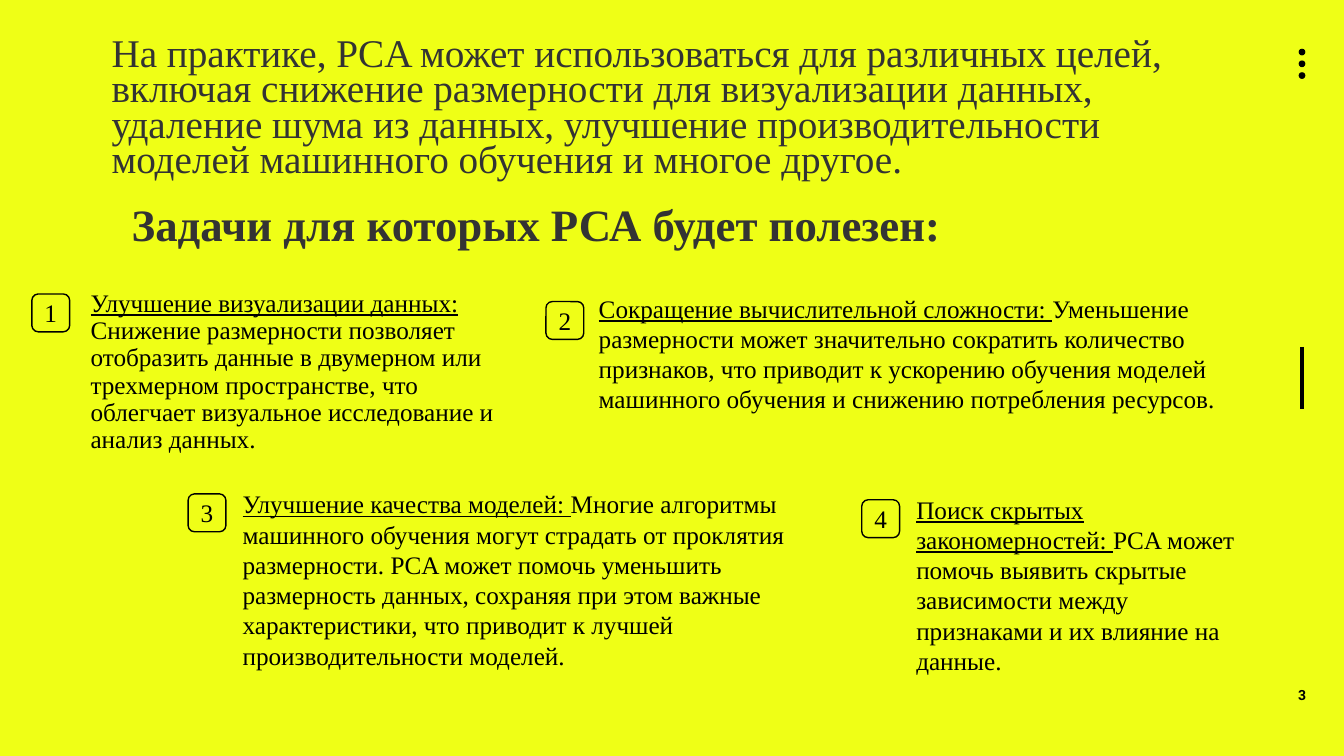
from dataclasses import dataclass

from lxml.etree import SubElement
from pptx import Presentation
from pptx.dml.color import RGBColor as RGB
from pptx.enum.shapes import MSO_CONNECTOR as Link, MSO_SHAPE as Kind
from pptx.enum.text import MSO_ANCHOR as Anchor, PP_ALIGN as Align
from pptx.oxml.ns import qn
from pptx.shapes.autoshape import Shape
from pptx.slide import Slide
from pptx.util import Emu, Inches, Pt

COLS, ROWS = 16, 9
WIDE, HIGH = Inches(13.333), Inches(7.5)
BADGE = 0.45


@dataclass(frozen=True)
class Theme:
    back: RGB = RGB(0xEF, 0xFF, 0x16)
    badge: RGB = RGB(0xEF, 0xFE, 0x17)
    ink: RGB = RGB(0, 0, 0)
    head: RGB = RGB(0x33, 0x33, 0x33)
    serif: str = "Times New Roman"
    sans: str = "Roboto"
    title: Pt = Pt(28)
    topic: Pt = Pt(32)
    body: Pt = Pt(18)
    page: Pt = Pt(10)
    edge: Pt = Pt(1)
    bar: Pt = Pt(3.25)


@dataclass(frozen=True)
class Box:
    """A place in grid columns and rows."""
    col: float
    row: float
    wide: float
    high: float

    def emu(self) -> tuple[Emu, ...]:
        return across(self.col), down(self.row), across(self.wide), down(self.high)


@dataclass(frozen=True)
class Task:
    name: str
    text: str
    box: Box
    badge: tuple[float, float]
    lead: float = 1.0


T = Theme()
TITLE = dict(name=T.serif, size=T.title)
TOPIC = dict(name=T.serif, size=T.topic, bold=True)
BODY = dict(name=T.serif, size=T.body)
NAME = dict(BODY, underline=True)
PAGE = dict(name=T.sans, size=T.page, bold=True)

TASKS = [
    Task("Улучшение визуализации данных: ",
         "Снижение размерности позволяет отобразить данные в двумерном или "
         "трехмерном пространстве, что облегчает визуальное исследование и "
         "анализ данных.",
         Box(0.96, 3.4, 5.26, 2.12), (0.38, 3.5), 0.9),
    Task("Сокращение вычислительной сложности: ",
         "Уменьшение размерности может значительно сократить количество "
         "признаков, что приводит к ускорению обучения моделей машинного "
         "обучения и снижению потребления ресурсов.",
         Box(7.01, 3.43, 8, 1.57), (6.5, 3.59)),
    Task("Улучшение качества моделей: ",
         "Многие алгоритмы машинного обучения могут страдать от проклятия "
         "размерности. PCA может помочь уменьшить размерность данных, сохраняя "
         "при этом важные характеристики, что приводит к лучшей "
         "производительности моделей.",
         Box(2.77, 5.76, 6.73, 2.3), (2.24, 5.88)),
    Task("Поиск скрытых закономерностей: ",
         "PCA может помочь выявить скрытые зависимости между признаками и их "
         "влияние на данные.",
         Box(10.79, 5.82, 4.06, 2.36), (10.26, 5.95)),
]


def across(cols: float) -> Emu:
    return Emu(round(WIDE * cols / COLS))


def down(rows: float) -> Emu:
    return Emu(round(HIGH * rows / ROWS))


def write(shape: Shape, runs: list[tuple[str, dict]], color: RGB = T.ink,
          lead: float = 1.0, mid: bool = False) -> None:
    """Fill a shape with one paragraph, centred both ways if mid."""
    frame = shape.text_frame
    frame.word_wrap = True
    frame.vertical_anchor = Anchor.MIDDLE if mid else Anchor.TOP
    para = frame.paragraphs[0]
    para.alignment = Align.CENTER if mid else Align.LEFT
    para.line_spacing = lead
    for text, style in runs:
        run = para.add_run()
        run.text = text
        run.font.color.rgb = color
        for key, value in style.items():
            setattr(run.font, key, value)


def label(slide: Slide, box: Box, runs: list[tuple[str, dict]], **look) -> None:
    write(slide.shapes.add_textbox(*box.emu()), runs, **look)


def solid(slide: Slide, kind: Kind, box: Box, fill: RGB) -> Shape:
    shape = slide.shapes.add_shape(kind, *box.emu())
    shape.shadow.inherit = False
    shape.fill.solid()
    shape.fill.fore_color.rgb = fill
    shape.line.fill.background()
    return shape


def badge(slide: Slide, num: int, spot: tuple[float, float]) -> None:
    shape = solid(slide, Kind.ROUNDED_RECTANGLE, Box(*spot, BADGE, BADGE), T.badge)
    shape.line.color.rgb = T.ink
    shape.line.width = T.edge
    frame = shape.text_frame
    for side in ("left", "right", "top", "bottom"):
        setattr(frame, f"margin_{side}", 0)
    write(shape, [(str(num), BODY)], mid=True)


def trim(slide: Slide) -> None:
    """Draw the dots and the bar at the right edge."""
    for i in range(3):
        solid(slide, Kind.OVAL, Box(15.46, 0.58 + 0.14 * i, 0.08, 0.08), T.ink)
    bar = slide.shapes.add_connector(
        Link.STRAIGHT, across(15.5), down(4.13), across(15.5), down(4.87))
    bar.line.color.rgb = T.ink
    bar.line.width = T.bar
    SubElement(bar.element.spPr, qn("a:effectLst"))


def main() -> None:
    deck = Presentation()
    deck.slide_width, deck.slide_height = WIDE, HIGH
    slide = deck.slides.add_slide(deck.slide_layouts[6])
    slide.background.fill.solid()
    slide.background.fill.fore_color.rgb = T.back

    trim(slide)
    label(slide, Box(1.21, 0.41, 13.6, 1.26), [(
        "На практике, PCA может использоваться для различных целей, включая "
        "снижение размерности для визуализации данных, удаление шума из данных, "
        "улучшение производительности моделей машинного обучения и многое "
        "другое.", TITLE)], color=T.head, lead=0.75)
    label(slide, Box(1.45, 2.35, 10.04, 0.85),
          [("Задачи для которых РСА будет полезен:", TOPIC)],
          color=T.head, lead=0.9)
    for num, task in enumerate(TASKS, 1):
        label(slide, task.box, [(task.name, NAME), (task.text, BODY)],
              lead=task.lead)
        badge(slide, num, task.badge)
    label(slide, Box(15, 8.03, 1, 0.48), [("3", PAGE)], mid=True)
    deck.save("out.pptx")


if __name__ == "__main__":
    main()
